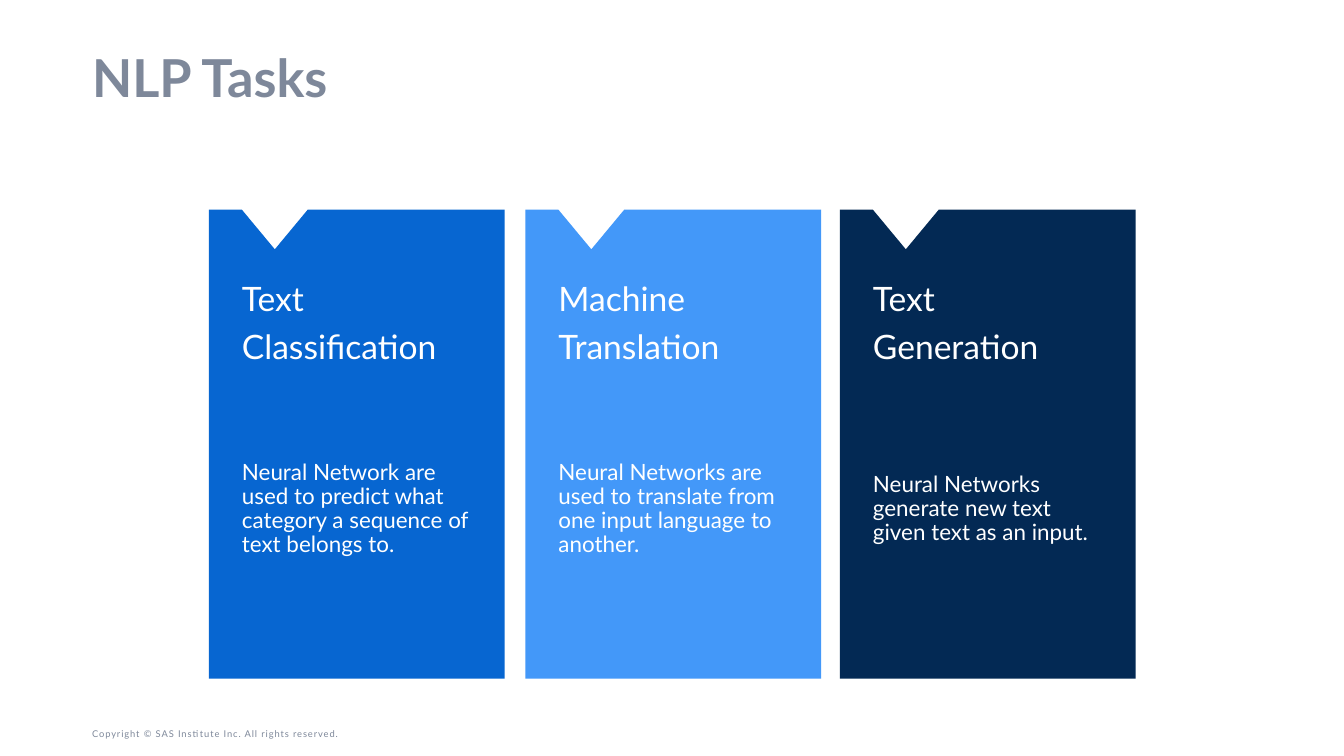
from pptx import Presentation
from pptx.dml.color import RGBColor
from pptx.enum.text import MSO_ANCHOR, PP_ALIGN
from pptx.util import Inches, Pt

TOP, MIDDLE, BOTTOM = MSO_ANCHOR.TOP, MSO_ANCHOR.MIDDLE, MSO_ANCHOR.BOTTOM
LEFT = PP_ALIGN.LEFT
WHITE = RGBColor(0xFF, 0xFF, 0xFF)
GREY = RGBColor(0x7E, 0x88, 0x9A)
BLUE = RGBColor(0x07, 0x66, 0xD1)
SKY = RGBColor(0x43, 0x98, 0xF9)
NAVY = RGBColor(0x03, 0x29, 0x54)
FONT = "Lato"
CARDS = [
    (3.11, BLUE, ["Text", "Classification"],
     "Neural Network are used to predict what category a sequence of text belongs to."),
    (7.82, SKY, ["Machine", "Translation"],
     "Neural Networks are used to translate from one input language to another."),
    (12.5, NAVY, ["Text", "Generation"],
     "Neural Networks generate new text given text as an input."),
]


def set_frame(frame, anchor, insets):
    """Set wrapping, anchor and insets (left, top, right, bottom) of a text frame."""
    frame.word_wrap = True
    frame.vertical_anchor = anchor
    (frame.margin_left, frame.margin_top,
     frame.margin_right, frame.margin_bottom) = map(Inches, insets)


def add_run(para, text, size, color, bold=False):
    """Add one formatted run to a left-aligned paragraph."""
    para.alignment = LEFT
    run = para.add_run()
    run.text = text
    font = run.font
    font.name, font.size, font.bold = FONT, Pt(size), bold
    font.color.rgb = color
    return run


def add_text(slide, box, lines, size, anchor):
    """Add a white text box with one paragraph for each line."""
    frame = slide.shapes.add_textbox(*map(Inches, box)).text_frame
    set_frame(frame, anchor, (0.2, 0.1, 0.2, 0.1))
    for i, line in enumerate(lines):
        para = frame.add_paragraph() if i else frame.paragraphs[0]
        para.line_spacing = 0.9
        para.space_after = Pt(12)
        add_run(para, line, size, WHITE)


def add_title(slide, box, text):
    """Place and format the slide title."""
    title = slide.shapes.title
    title.left, title.top, title.width, title.height = map(Inches, box)
    set_frame(title.text_frame, MIDDLE, (0, 0, 0, 0))
    para = title.text_frame.paragraphs[0]
    para.line_spacing = 0.9
    add_run(para, text, 56, GREY, True)


def add_card(slide, box, color, head, body):
    """Draw a notched panel with its heading and description."""
    x, y, w, h = box
    points = [(0, 0), (0.49, 0), (0.98, 0.59), (1.47, 0), (w, 0), (w, h), (0, h)]
    spots = [(Inches(x + dx), Inches(y + dy)) for dx, dy in points]
    outline = slide.shapes.build_freeform(*spots[0], scale=1.0)
    outline.add_line_segments(spots[1:], close=True)
    panel = outline.convert_to_shape()
    panel.shadow.inherit = False
    panel.fill.solid()
    panel.fill.fore_color.rgb = color
    panel.line.fill.background()
    add_text(slide, (x + 0.29, y + 0.99, 3.78, 1.52), head, 36, TOP)
    add_text(slide, (x + 0.29, y + 2.5, 3.78, 3.92), [body], 24, MIDDLE)


def add_footer(slide, box, text):
    """Add the copyright line with loose letter spacing."""
    frame = slide.shapes.add_textbox(*map(Inches, box)).text_frame
    set_frame(frame, BOTTOM, (0, 0.05, 0.1, 0.05))
    run = add_run(frame.paragraphs[0], text, 10, GREY)
    run._r.get_or_add_rPr().set("spc", "100")


def main():
    """Build and save the slide."""
    deck = Presentation()
    deck.slide_width, deck.slide_height = Inches(20), Inches(11.25)
    slide = deck.slides.add_slide(deck.slide_layouts[5])
    add_title(slide, (1.37, 0.78, 17.25, 0.85), "NLP Tasks")
    for x, color, head, body in CARDS:
        add_card(slide, (x, 3.12, 4.4, 6.98), color, head, body)
    add_footer(slide, (1.37, 10.78, 5.5, 0.27),
               "Copyright © SAS Institute Inc. All rights reserved.")
    deck.save("out.pptx")


if __name__ == "__main__":
    main()
